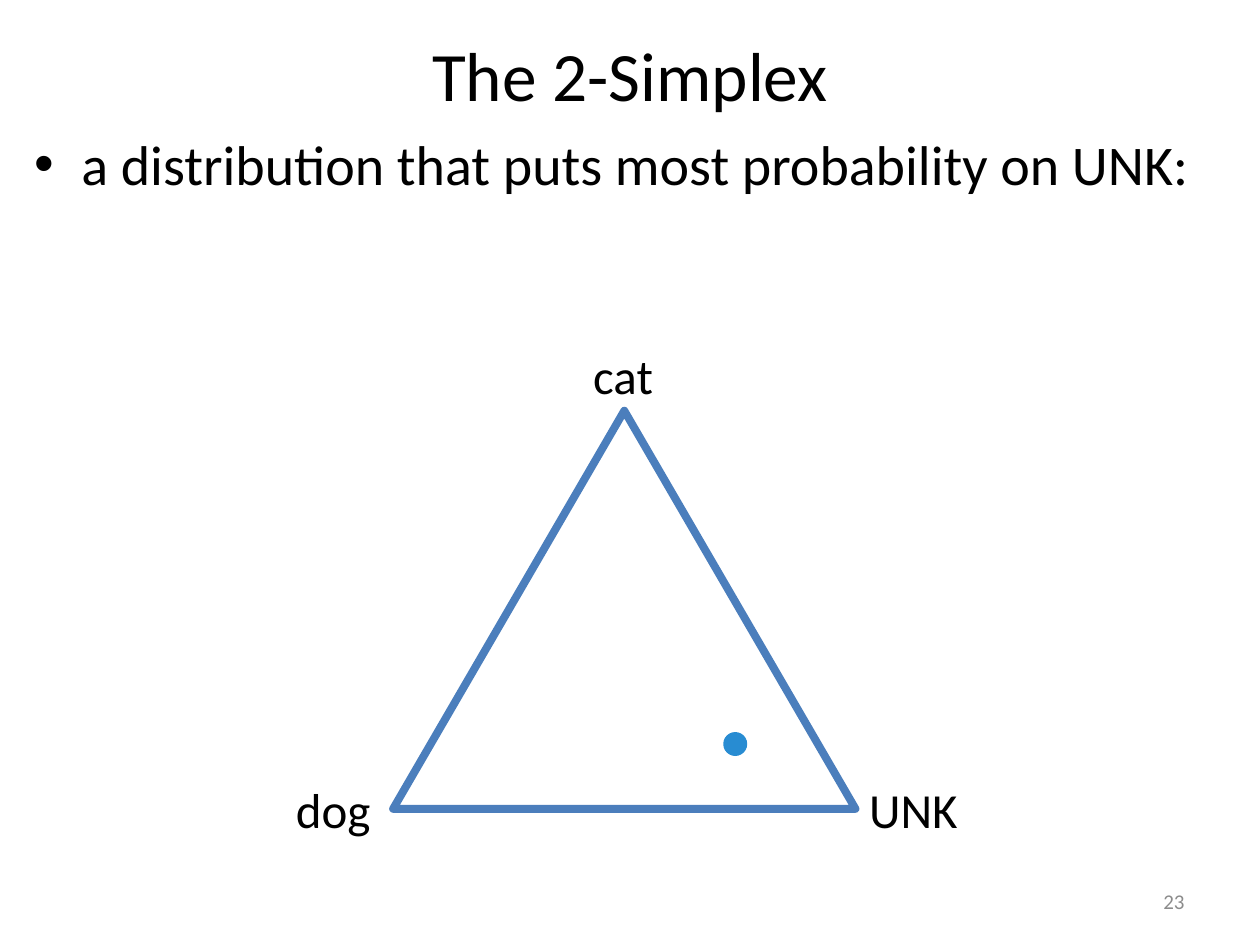
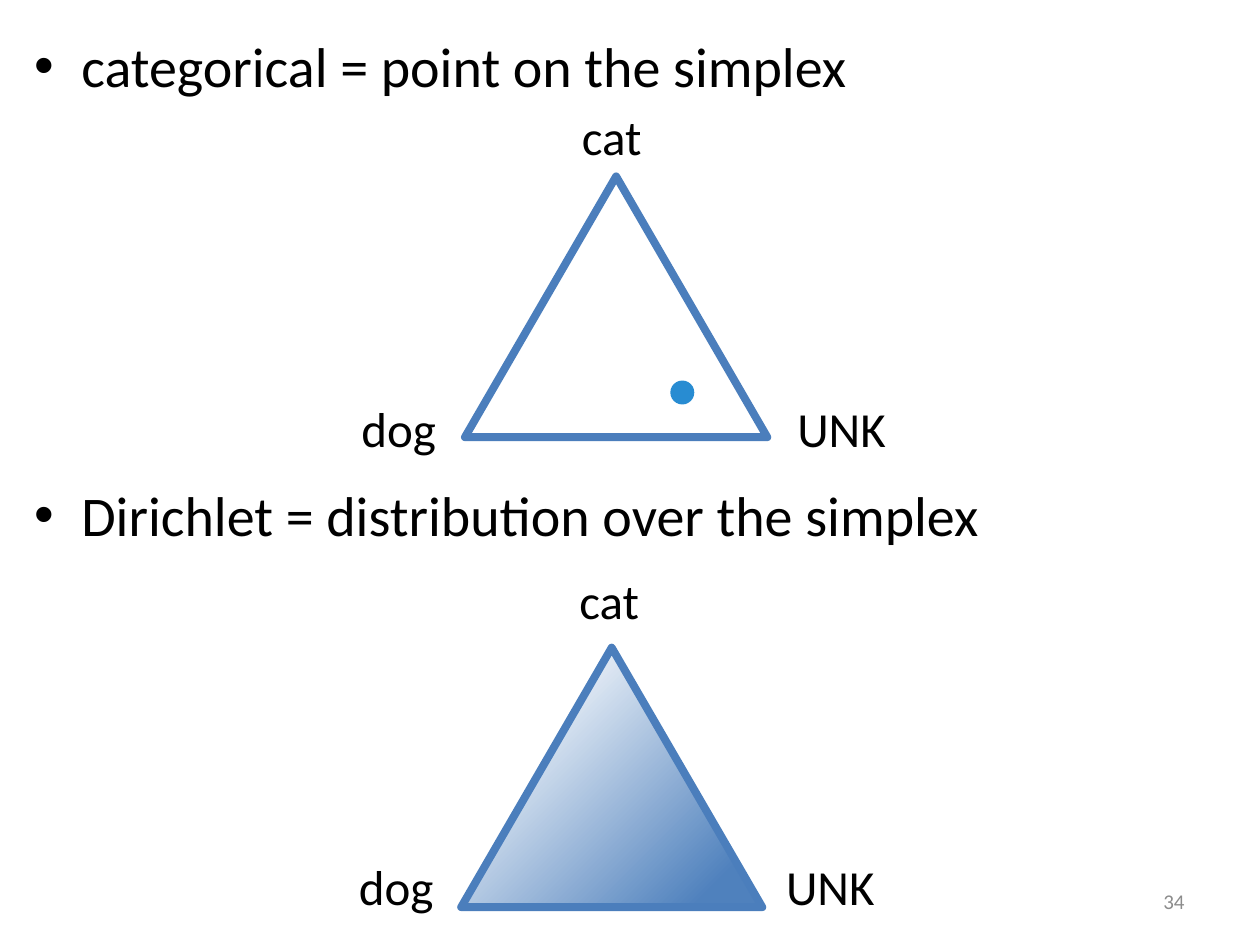
from pptx import Presentation
from pptx import util as u
from pptx.dml.color import RGBColor
from pptx.enum import shapes, text
from pptx.oxml import parse_xml
from pptx.oxml.ns import nsdecls

PX = u.Inches(1) // 100
FONT = "Calibri"
BLACK = RGBColor(0x00, 0x00, 0x00)
WHITE = RGBColor(0xFF, 0xFF, 0xFF)
GRAY = RGBColor(0x8C, 0x8C, 0x8C)
EDGE = RGBColor(0x4B, 0x7E, 0xBC)
DENSE = RGBColor(0x4F, 0x81, 0xBD)
POINT = RGBColor(0x28, 0x8C, 0xD2)
LABEL_W = {"cat": 69, "dog": 80, "UNK": 91}
LABEL_H = 57
DOT = 19


def px(*values):
    """Turn px lengths into EMU."""
    return [v * PX for v in values]


def place(sp, *box):
    """Move and size a shape to a px box."""
    sp.left, sp.top, sp.width, sp.height = px(*box)


def style(p, size, color=BLACK):
    """Format all runs of a paragraph."""
    for r in p.runs:
        r.font.name = FONT
        r.font.size = u.Pt(size)
        r.font.color.rgb = color


def add_title(slide, words):
    """Fill the title placeholder."""
    sp = slide.shapes.title
    place(sp, 50, 19, 900, 79)
    tf = sp.text_frame
    tf.text = words
    tf.auto_size = text.MSO_AUTO_SIZE.NONE
    style(tf.paragraphs[0], 39.6)


def add_bullets(slide, top, bullets, gap=0):
    """Fill the body placeholder, with a gap in points between bullets."""
    sp = slide.placeholders[1]
    place(sp, 17, top, 983, 670 - top)
    tf = sp.text_frame
    tf.text = "\n".join(bullets)
    tf.auto_size = text.MSO_AUTO_SIZE.NONE
    for i, p in enumerate(tf.paragraphs):
        p.space_before = u.Pt(gap if i else 0)
        style(p, 32)


def add_number(slide, number):
    """Add the slide number at the bottom right."""
    tf = slide.shapes.add_textbox(*px(717, 695, 233, 40)).text_frame
    tf.word_wrap = True
    tf.vertical_anchor = text.MSO_ANCHOR.MIDDLE
    p = tf.paragraphs[0]
    p.text = str(number)
    p.alignment = text.PP_ALIGN.RIGHT
    style(p, 12, GRAY)


def add_label(slide, word, left, top):
    """Add a corner label of the simplex."""
    box = px(left, top, LABEL_W[word], LABEL_H)
    tf = slide.shapes.add_textbox(*box).text_frame
    tf.word_wrap = False
    tf.auto_size = text.MSO_AUTO_SIZE.SHAPE_TO_FIT_TEXT
    tf.text = word
    style(tf.paragraphs[0], 28)


def shade_corner(sp):
    """Fill a shape with a gradient that is densest at the lower right."""
    sp.fill.gradient()
    stops = zip(sp.fill.gradient_stops, (0.12, 0.85), (DENSE, WHITE))
    for stop, position, color in stops:
        stop.position = position
        stop.color.rgb = color
    grad = sp.fill._xPr.gradFill
    grad.replace(grad.lin, parse_xml(
        f'<a:path {nsdecls("a")} path="circle">'
        '<a:fillToRect l="100000" t="100000"/></a:path>'))


def add_simplex(slide, box, cat, dog, unk, shaded=False):
    """Add a triangle with its three corner labels."""
    sp = slide.shapes.add_shape(
        shapes.MSO_SHAPE.ISOSCELES_TRIANGLE, *px(*box))
    sp.shadow.inherit = False
    sp.line.color.rgb = EDGE
    sp.line.width = u.Pt(4.5)
    if shaded:
        shade_corner(sp)
    else:
        sp.fill.background()
    for word, corner in zip(LABEL_W, (cat, dog, unk)):
        add_label(slide, word, *corner)


def add_point(slide, left, top):
    """Add a dot that marks one distribution."""
    sp = slide.shapes.add_shape(
        shapes.MSO_SHAPE.OVAL, *px(left, top, DOT, DOT))
    sp.shadow.inherit = False
    sp.fill.solid()
    sp.fill.fore_color.rgb = POINT
    sp.line.fill.background()


def build_point_slide(prs):
    """Build the slide with one point on the simplex."""
    slide = prs.slides.add_slide(prs.slide_layouts[1])
    add_title(slide, "The 2-Simplex")
    add_bullets(slide, 98,
                ["a distribution that puts most probability on UNK:"])
    add_number(slide, 23)
    add_simplex(slide, (312, 326, 367, 316),
                (461, 269), (225, 614), (680, 614))
    add_point(slide, 574, 581)


def build_comparison_slide(prs):
    """Build the slide that compares a categorical with a Dirichlet."""
    slide = prs.slides.add_slide(prs.slide_layouts[1])
    title = slide.shapes.title.element
    title.getparent().remove(title)
    add_bullets(slide, 20, ["categorical = point on the simplex",
                            "Dirichlet = distribution over the simplex"], 218)
    add_number(slide, 34)
    add_simplex(slide, (366, 514, 239, 206),
                (450, 448), (275, 675), (614, 675), shaded=True)
    add_simplex(slide, (369, 140, 240, 207),
                (452, 80), (277, 311), (623, 311))
    add_point(slide, 532, 302)


def main():
    """Build and save the presentation."""
    prs = Presentation()
    prs.slide_width, prs.slide_height = px(1000, 750)
    build_point_slide(prs)
    build_comparison_slide(prs)
    prs.save("out.pptx")


if __name__ == "__main__":
    main()
